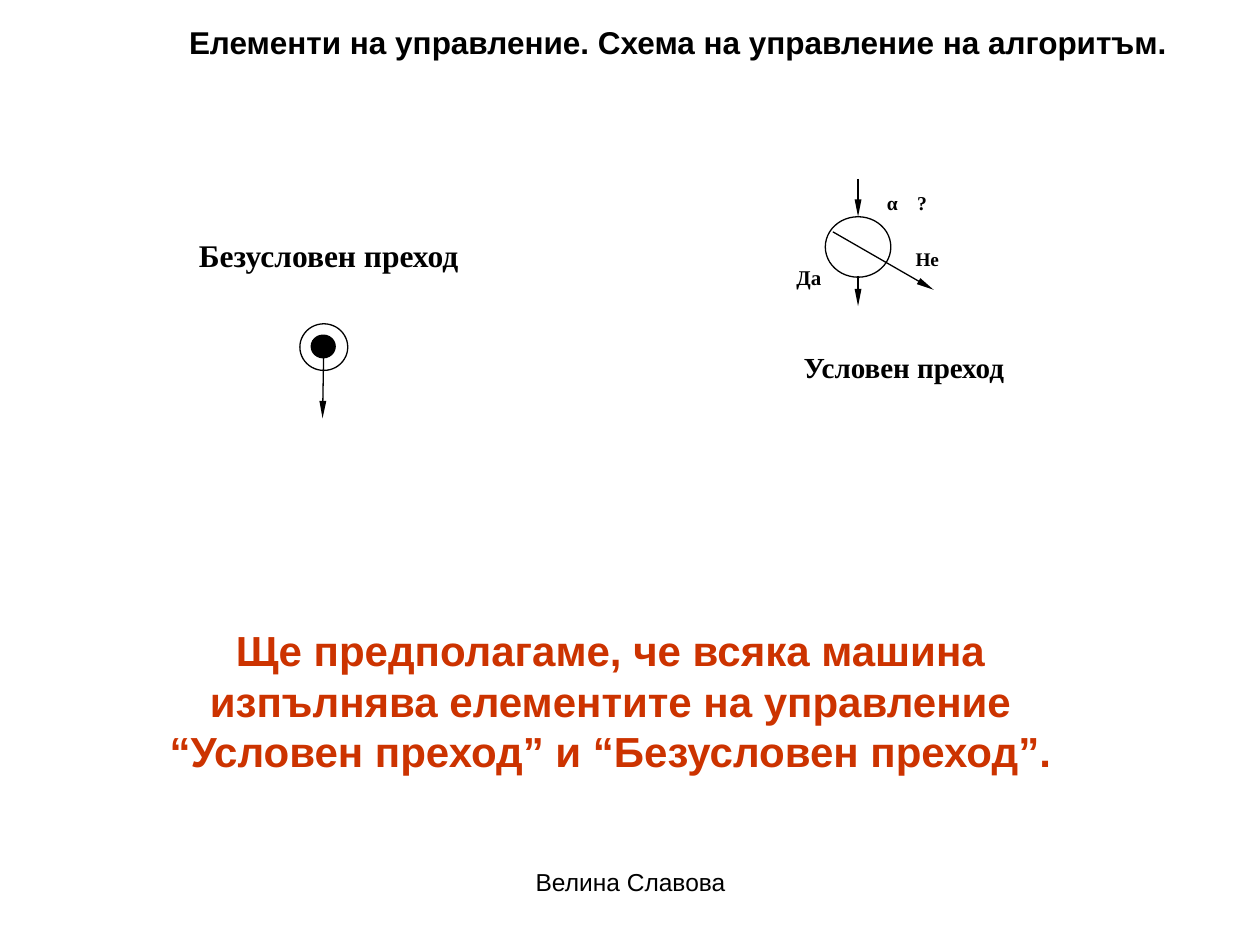
from lxml import etree
from pptx import Presentation
from pptx.dml.color import RGBColor
from pptx.enum.shapes import MSO_CONNECTOR, MSO_SHAPE
from pptx.enum.text import MSO_ANCHOR, PP_ALIGN
from pptx.oxml.ns import qn
from pptx.util import Inches, Pt

BLACK = RGBColor(0x00, 0x00, 0x00)
WHITE = RGBColor(0xFF, 0xFF, 0xFF)
RED = RGBColor(0xCC, 0x33, 0x00)
SANS = "Arial"
SERIF = "Times New Roman"
LEFT, CENTER = PP_ALIGN.LEFT, PP_ALIGN.CENTER
TOP, MIDDLE = MSO_ANCHOR.TOP, MSO_ANCHOR.MIDDLE
OVAL = MSO_SHAPE.OVAL
STRAIGHT = MSO_CONNECTOR.STRAIGHT
TITLE_ONLY = 5


class ControlSlide:
    line_width = Pt(0.75)

    def __init__(self, presentation):
        self.slide = presentation.slides.add_slide(presentation.slide_layouts[TITLE_ONLY])
        self.shapes = self.slide.shapes

    def set_text(self, shape, text, size, font, color, bold, align, anchor, spacing=None):
        frame = shape.text_frame
        frame.word_wrap = True
        frame.vertical_anchor = anchor
        frame.text = text
        paragraph = frame.paragraphs[0]
        paragraph.alignment = align
        paragraph.line_spacing = spacing
        paragraph.font.size = Pt(size)
        paragraph.font.name = font
        paragraph.font.bold = bold
        paragraph.font.color.rgb = color
        return paragraph

    def title(self, text, left, top, width, height):
        heading = self.shapes.title
        heading.left, heading.top = Inches(left), Inches(top)
        heading.width, heading.height = Inches(width), Inches(height)
        self.set_text(heading, text, 18, SANS, BLACK, True, LEFT, MIDDLE)

    def label(self, text, left, top, width, height, size, font=SERIF, color=BLACK,
              bold=True, align=LEFT, anchor=TOP, spacing=None):
        box = self.shapes.add_textbox(Inches(left), Inches(top), Inches(width), Inches(height))
        return self.set_text(box, text, size, font, color, bold, align, anchor, spacing)

    def tab_stop(self, paragraph, position):
        properties = paragraph._p.get_or_add_pPr()
        tabs = etree.Element(qn("a:tabLst"))
        etree.SubElement(tabs, qn("a:tab"), pos=str(Inches(position)), algn="l")
        properties.find(qn("a:defRPr")).addprevious(tabs)

    def circle(self, left, top, width, height, fill):
        node = self.shapes.add_shape(OVAL, Inches(left), Inches(top), Inches(width), Inches(height))
        node.shadow.inherit = False
        node.fill.solid()
        node.fill.fore_color.rgb = fill
        node.line.color.rgb = BLACK
        node.line.width = self.line_width

    def arrow(self, x1, y1, x2, y2):
        jump = self.shapes.add_connector(STRAIGHT, Inches(x1), Inches(y1), Inches(x2), Inches(y2))
        jump.line.color.rgb = BLACK
        jump.line.width = self.line_width
        outline = jump._element.spPr.find(qn("a:ln"))
        etree.SubElement(outline, qn("a:tailEnd"), type="triangle", w="sm", len="lg")
        etree.SubElement(jump._element.spPr, qn("a:effectLst"))


def draw_unconditional(page):
    page.circle(2.38, 2.57, 0.38, 0.37, WHITE)
    page.circle(2.47, 2.66, 0.19, 0.18, BLACK)
    page.arrow(2.57, 2.75, 2.56, 3.32)
    page.label("Безусловен преход", 1.48, 1.82, 2.62, 0.51, 18)


def draw_conditional(page):
    page.label("Условен преход", 6.28, 2.76, 2.37, 0.4, 16.6, spacing=0.9)
    page.circle(6.55, 1.72, 0.52, 0.48, WHITE)
    page.arrow(6.81, 1.42, 6.81, 1.72)
    page.arrow(6.61, 1.84, 7.41, 2.3)
    page.arrow(6.81, 2.19, 6.81, 2.43)
    page.label("Не", 7.04, 1.91, 0.64, 0.3, 11, align=CENTER)
    page.label("Да", 6.05, 2.05, 0.74, 0.4, 12, align=CENTER)
    condition = page.label("α\t?", 6.94, 1.5, 0.75, 0.3, 11.2, spacing=0.8)
    page.tab_stop(condition, 0.24)


def main():
    presentation = Presentation()
    presentation.slide_width = Inches(10)
    presentation.slide_height = Inches(7.5)
    page = ControlSlide(presentation)
    page.title("Елементи на управление. Схема на управление на алгоритъм.", 1.4, 0.08, 8.2, 0.5)
    draw_unconditional(page)
    draw_conditional(page)
    page.label("Ще предполагаме, че всяка машина изпълнява елементите на управление "
               "“Условен преход” и “Безусловен преход”.",
               0.91, 4.91, 7.87, 1.3, 24, SANS, RED, align=CENTER, anchor=MIDDLE)
    page.label("Велина Славова", 3.42, 6.83, 3.17, 0.52, 14, SANS, bold=False, align=CENTER)
    presentation.save("out.pptx")


if __name__ == "__main__":
    main()
